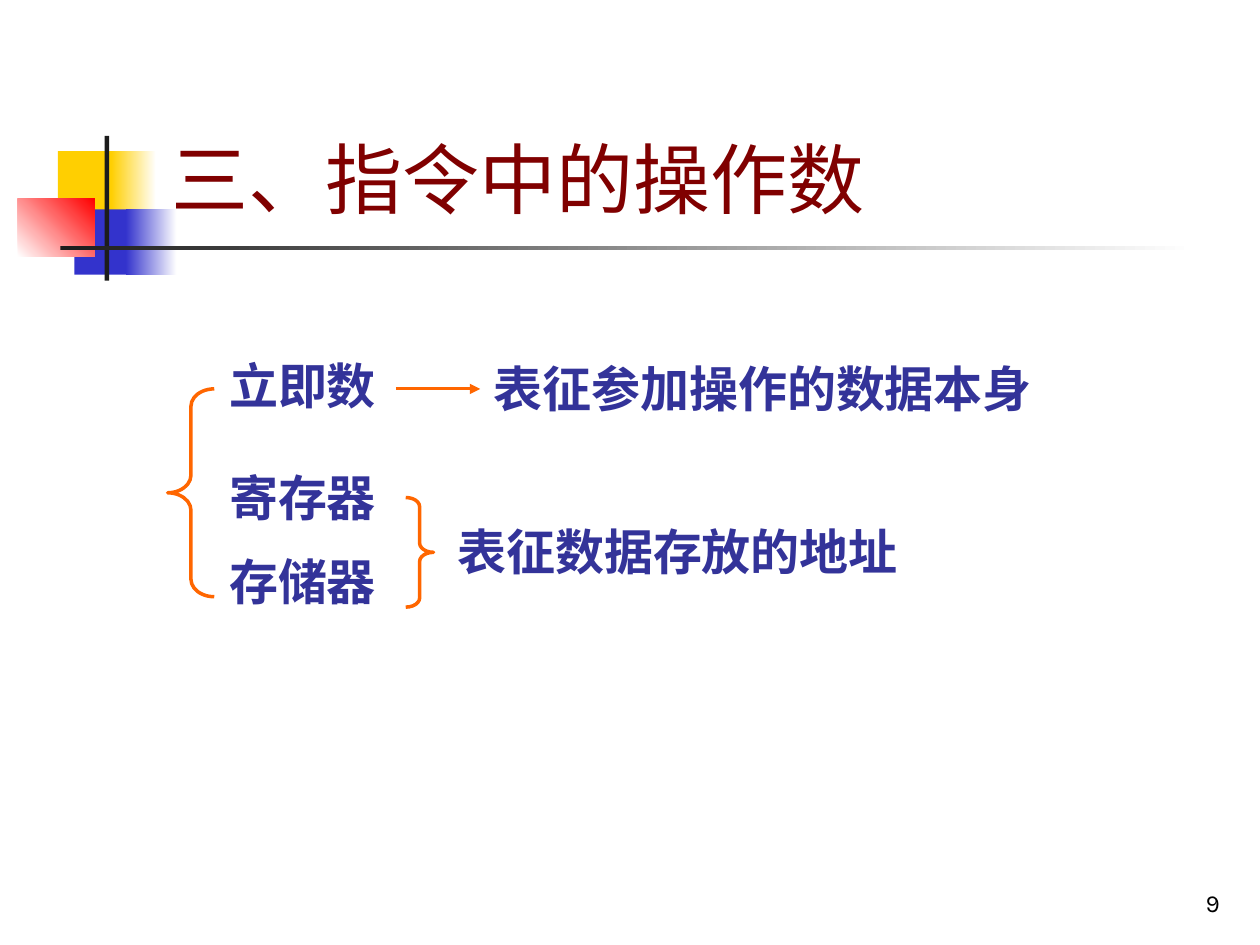
from lxml.etree import SubElement
from pptx import Presentation
from pptx.dml.color import RGBColor
from pptx.enum.shapes import MSO_CONNECTOR as Connector, MSO_SHAPE as Shape
from pptx.enum.text import MSO_ANCHOR as Anchor, PP_ALIGN as Align
from pptx.oxml.ns import qn
from pptx.util import Cm, Pt

YELLOW = RGBColor(0xFF, 0xCF, 0x01)
BLUE = RGBColor(0x33, 0x33, 0xCC)
RED = RGBColor(0xFF, 0x00, 0x00)
WHITE = RGBColor(0xFF, 0xFF, 0xFF)
INK = RGBColor(0x1C, 0x1C, 0x1C)
BLACK = RGBColor(0x00, 0x00, 0x00)
MAROON = RGBColor(0x80, 0x00, 0x00)
INDIGO = RGBColor(0x33, 0x33, 0x99)
ORANGE = RGBColor(0xFF, 0x66, 0x00)


def add_block(page, left, top, width, height, colors, angle=0):
    """Borderless rectangle: one colour is solid, two make a gradient."""
    block = page.shapes.add_shape(Shape.RECTANGLE, Cm(left), Cm(top), Cm(width), Cm(height))
    block.shadow.inherit = False
    block.line.fill.background()
    if len(colors) == 1:
        block.fill.solid()
        block.fill.fore_color.rgb = colors[0]
        return
    block.fill.gradient()
    block.fill.gradient_angle = angle
    for stop, color in zip(block.fill.gradient_stops, colors):
        stop.color.rgb = color


def add_text(page, left, top, width, height, lines, font, size, color,
             bold=False, anchor=Anchor.TOP, align=Align.LEFT):
    box = page.shapes.add_textbox(Cm(left), Cm(top), Cm(width), Cm(height))
    frame = box.text_frame
    frame.word_wrap = True
    frame.vertical_anchor = anchor
    frame.text = "\n".join(lines)
    for para in frame.paragraphs:
        para.alignment = align
        para.font.name = font
        para.font.size = Pt(size)
        para.font.bold = bold
        para.font.color.rgb = color
    return frame


def add_brace(page, kind, left, top, width, height, curve):
    brace = page.shapes.add_shape(kind, Cm(left), Cm(top), Cm(width), Cm(height))
    brace.shadow.inherit = False
    brace.adjustments[0] = curve
    brace.fill.background()
    brace.line.color.rgb = ORANGE
    brace.line.width = Pt(2)


def add_arrow(page, start, end, y):
    arrow = page.shapes.add_connector(Connector.STRAIGHT, Cm(start), Cm(y), Cm(end), Cm(y))
    arrow.line.color.rgb = ORANGE
    arrow.line.width = Pt(1.75)
    SubElement(arrow.line._get_or_add_ln(), qn("a:tailEnd"), type="triangle")
    SubElement(arrow._element.spPr, qn("a:effectLst"))


def draw_ornament(page, left, top):
    # Overlapping squares that fade out
    add_block(page, left + 0.81, top + 0.31, 1.22, 1.32, [YELLOW])
    add_block(page, left + 1.88, top + 0.31, 0.91, 1.32, [YELLOW, WHITE])
    add_block(page, left + 1.14, top + 1.48, 1.17, 1.32, [BLUE])
    add_block(page, left + 2.18, top + 1.48, 1.02, 1.32, [BLUE, WHITE])
    add_block(page, left, top + 1.27, 1.55, 1.17, [WHITE, RED], angle=45)
    # Crossing rules
    add_block(page, left + 1.75, top, 0.09, 2.92, [INK])
    add_block(page, left + 0.86, top + 2.21, 22.86, 0.09, [INK, WHITE])


def draw_operands(page, left, top):
    # Kinds of operand
    kinds = add_text(page, left + 0.99, top, 9.8, 7.32, ["立即数", "寄存器", "存储器"],
                     "Karla", 28, INDIGO, bold=True)
    for para, before, after in zip(kinds.paragraphs, (0, 14, 5.6), (12.6, 5.6, 0)):
        para.line_spacing = 1.1
        para.space_before = Pt(before)
        para.space_after = Pt(after)
    # Braces and arrow
    add_brace(page, Shape.LEFT_BRACE, left, top + 0.91, 0.94, 4.19, 0.375)
    add_arrow(page, left + 4.6, left + 6.3, top + 0.91)
    add_brace(page, Shape.RIGHT_BRACE, left + 4.8, top + 3.1, 0.56, 2.21, 0.33)
    # What each kind stands for
    for x, y, meaning in ((6.32, 0.18, "表征参加操作的数据本身"),
                          (5.59, 3.45, "表征数据存放的地址")):
        add_text(page, left + x, top + y, 12, 1.45, [meaning],
                 "Times New Roman", 28, INDIGO, bold=True)


def main():
    deck = Presentation()
    deck.slide_width, deck.slide_height = Cm(25.4), Cm(19.05)
    page = deck.slides.add_slide(deck.slide_layouts[6])
    draw_ornament(page, 0.36, 2.74)
    # Page number and title
    add_text(page, 19.56, 17.35, 5.28, 1.27, ["9"], "Karla", 14, BLACK,
             anchor=Anchor.BOTTOM, align=Align.RIGHT)
    add_text(page, 3.2, 0.58, 21.64, 4.06, ["三、指令中的操作数"], "Karla", 44, MAROON,
             anchor=Anchor.BOTTOM)
    draw_operands(page, 3.38, 6.93)
    deck.save("out.pptx")


if __name__ == "__main__":
    main()
